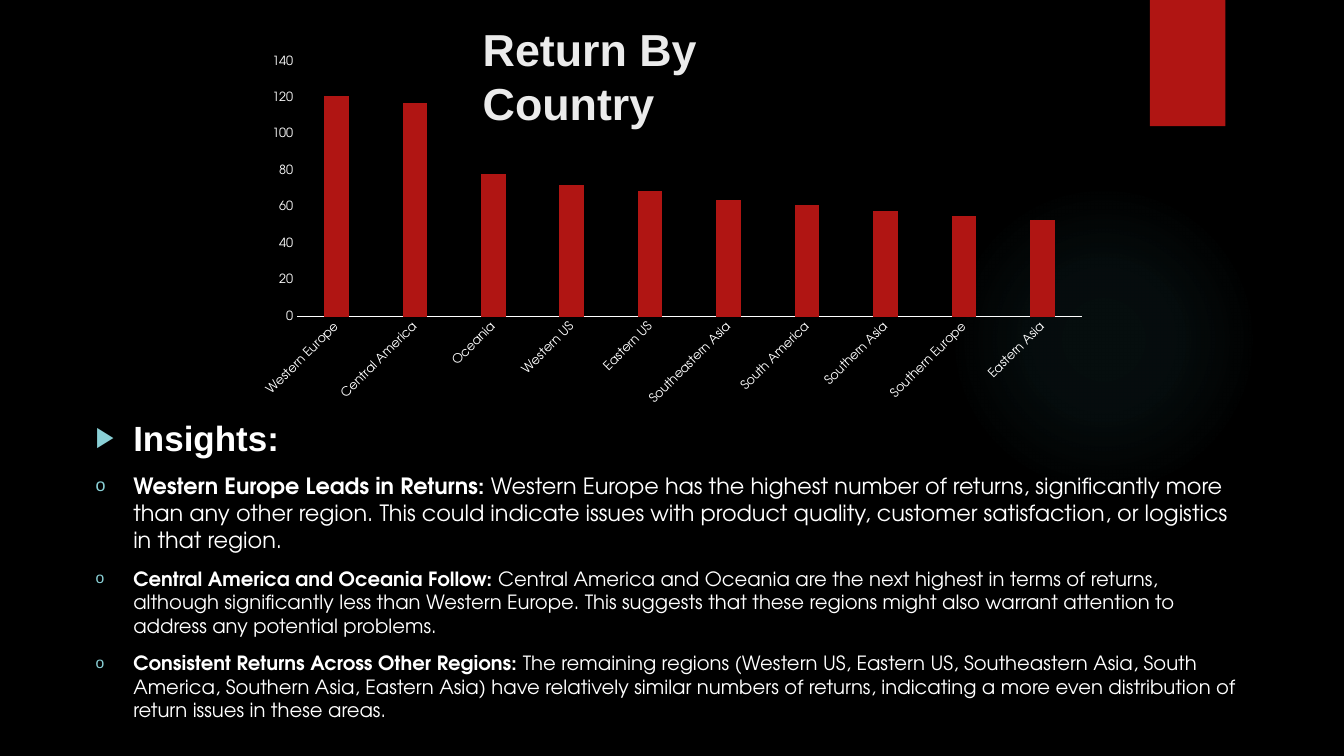
from lxml import etree
from pptx import Presentation
from pptx.chart.data import CategoryChartData
from pptx.dml.color import RGBColor
from pptx.enum.chart import XL_CHART_TYPE, XL_TICK_MARK
from pptx.enum.shapes import MSO_SHAPE
from pptx.enum.text import MSO_ANCHOR, PP_ALIGN
from pptx.oxml import parse_xml
from pptx.oxml.ns import nsdecls, qn
from pptx.util import Cm, Pt

RETURNS = {
    "Western Europe": 121, "Central America": 117, "Oceania": 78,
    "Western US": 72, "Eastern US": 69, "Southeastern Asia": 64,
    "South America": 61, "Southern Asia": 58, "Southern Europe": 55,
    "Eastern Asia": 53,
}

INSIGHTS = [
    ("Western Europe Leads in Returns:",
     " Western Europe has the highest number of returns, significantly more than any other "
     "region. This could indicate issues with product quality, customer satisfaction, or "
     "logistics in that region.", 16),
    ("Central America and Oceania Follow:",
     " Central America and Oceania are the next highest in terms of returns, although "
     "significantly less than Western Europe. This suggests that these regions might also "
     "warrant attention to address any potential problems.", 14),
    ("Consistent Returns Across Other Regions:",
     " The remaining regions (Western US, Eastern US, Southeastern Asia, South America, "
     "Southern Asia, Eastern Asia) have relatively similar numbers of returns, indicating a "
     "more even distribution of return issues in these areas.", 14),
]


def rgb(value):
    return RGBColor.from_string(value)


class ReturnsSlide:
    heading_font = "Arial"
    body_font = "TeX Gyre Adventor"
    white = "FFFFFF"
    red = "B01513"
    teal = "50B9C1"
    bullet_color = "8AD0D6"

    def __init__(self, presentation):
        self.slide = presentation.slides.add_slide(presentation.slide_layouts[5])
        background = self.slide.background.fill
        background.solid()
        background.fore_color.rgb = rgb("000000")

    def style(self, font, name, size, color, bold=None):
        font.name = name
        font.size = Pt(size)
        font.color.rgb = rgb(color)
        font.bold = bold

    def shape(self, preset, box):
        shape = self.slide.shapes.add_shape(preset, *map(Cm, box))
        shape.shadow.inherit = False
        shape.line.fill.background()
        shape.fill.solid()
        shape.fill.fore_color.rgb = rgb(self.red)
        return shape

    def glow(self, box, stops):
        glow = self.shape(MSO_SHAPE.OVAL, box)
        colors = "".join(
            f'<a:gs pos="{position * 1000}"><a:srgbClr val="{self.teal}">'
            f'<a:alpha val="{alpha * 1000}"/></a:srgbClr></a:gs>'
            for position, alpha in stops)
        gradient = parse_xml(
            f'<a:gradFill {nsdecls("a")} rotWithShape="1"><a:gsLst>{colors}</a:gsLst>'
            '<a:path path="circle"><a:fillToRect l="50000" t="50000" r="50000" b="50000"/>'
            '</a:path></a:gradFill>')
        properties = glow.fill._xPr
        properties.replace(properties.find(qn("a:solidFill")), gradient)

    def title(self, text, box):
        title = self.slide.shapes.title
        title.left, title.top, title.width, title.height = map(Cm, box)
        frame = title.text_frame
        frame.text = text
        frame.word_wrap = True
        frame.vertical_anchor = MSO_ANCHOR.TOP
        heading = frame.paragraphs[0]
        heading.alignment = PP_ALIGN.LEFT
        self.style(heading.font, self.heading_font, 32, "EBEBEB", True)

    def bullet(self, paragraph, symbol):
        properties = paragraph._p.get_or_add_pPr()
        properties.set("marL", str(Cm(0.95)))
        properties.set("indent", str(Cm(-0.95)))
        color = etree.SubElement(properties, qn("a:buClr"))
        etree.SubElement(color, qn("a:srgbClr"), val=self.bullet_color)
        etree.SubElement(properties, qn("a:buSzPct"), val="80000")
        etree.SubElement(properties, qn("a:buFont"), typeface=self.heading_font)
        etree.SubElement(properties, qn("a:buChar"), char=symbol)

    def insights(self, heading_text, insights, box):
        frame = self.slide.shapes.add_textbox(*map(Cm, box)).text_frame
        frame.word_wrap = True
        heading = frame.paragraphs[0]
        heading.text = heading_text
        self.bullet(heading, "▶")
        self.style(heading.font, self.heading_font, 25, self.white, True)
        for lead, detail, size in insights:
            insight = frame.add_paragraph()
            insight.space_before = Pt(10)
            self.bullet(insight, "o")
            self.style(insight.font, self.body_font, size, self.white)
            for text, bold in ((lead, True), (detail, False)):
                run = insight.add_run()
                run.text = text
                run.font.bold = bold

    def column_chart(self, values, box, plot_area):
        data = CategoryChartData()
        data.categories = list(values)
        data.add_series("Series 1", list(values.values()))
        chart = self.slide.shapes.add_chart(
            XL_CHART_TYPE.COLUMN_CLUSTERED, *map(Cm, box), data).chart
        chart.has_title = False
        chart.has_legend = False
        self.style(chart.font, self.body_font, 10, self.white)

        plot = chart.plots[0]
        plot.vary_by_categories = False
        plot.gap_width = 219
        plot.overlap = -27
        columns = plot.series[0].format.fill
        columns.solid()
        columns.fore_color.rgb = rgb(self.red)

        regions, counts = chart.category_axis, chart.value_axis
        for axis in (regions, counts):
            axis.major_tick_mark = axis.minor_tick_mark = XL_TICK_MARK.NONE
            axis.has_major_gridlines = False
            self.style(axis.tick_labels.font, self.body_font, 9, self.white)
        regions.format.line.color.rgb = rgb(self.white)
        regions.format.line.width = Pt(0.75)
        regions._element.find(qn("c:txPr")).find(qn("a:bodyPr")).set("rot", "-2700000")
        counts.format.line.fill.background()
        counts.minimum_scale, counts.maximum_scale, counts.major_unit = 0, 140, 20
        self.place_plot(chart, plot_area)

    def place_plot(self, chart, plot_area):
        area = chart._chartSpace.chart.plotArea
        for layout in area.findall(qn("c:layout")):
            area.remove(layout)
        sizes = "".join(f'<c:{key} val="{value}"/>' for key, value in zip("xywh", plot_area))
        area.insert(0, parse_xml(
            f'<c:layout {nsdecls("c")}><c:manualLayout><c:layoutTarget val="inner"/>'
            f'<c:xMode val="edge"/><c:yMode val="edge"/>{sizes}</c:manualLayout></c:layout>'))


def main():
    presentation = Presentation()
    presentation.slide_width, presentation.slide_height = Cm(33.87), Cm(19.05)
    page = ReturnsSlide(presentation)
    page.glow((23.9, 4.65, 7.82, 7.82), ((0, 7), (36, 6), (69, 0), (100, 0)))
    page.shape(MSO_SHAPE.RECTANGLE, (28.98, 0, 1.9, 3.18))
    page.title("Return By Country", (11.91, 0.43, 10.03, 1.68))
    page.insights("Insights:", INSIGHTS, (2.16, 10.36, 29.54, 8.69))
    page.column_chart(RETURNS, (6.2, 1.27, 21.49, 9.19), (0.06, 0.03, 0.92, 0.7))
    presentation.save("out.pptx")


if __name__ == "__main__":
    main()
